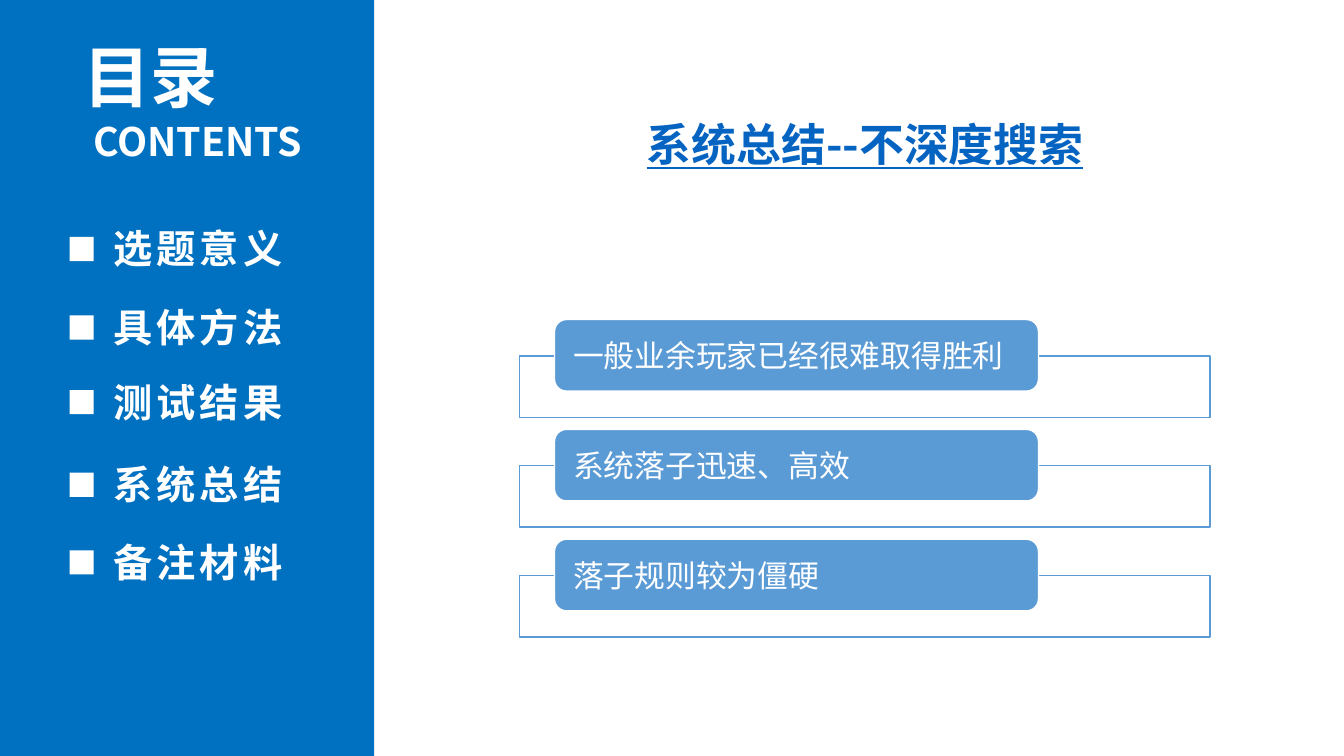
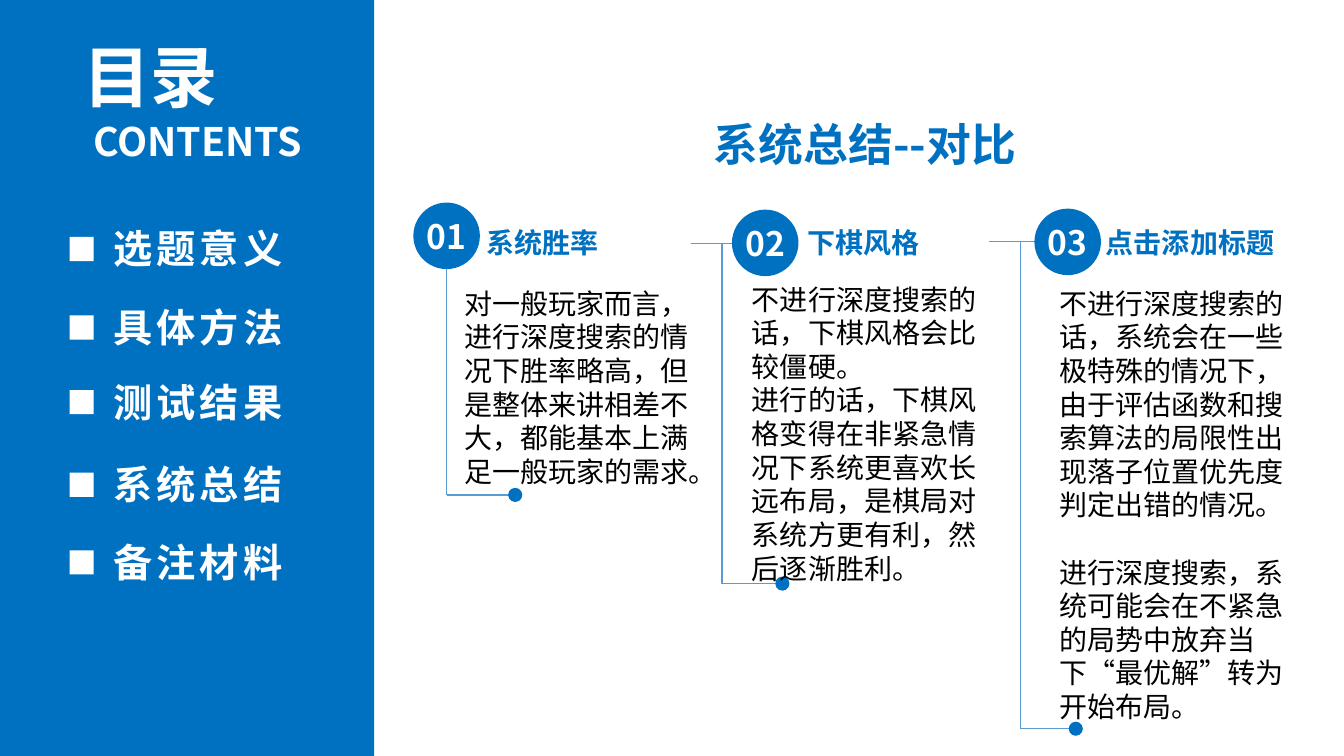
import pptx
import pptx.util
import pptx.dml.color
import pptx.enum.shapes
import pptx.enum.text
import pptx.oxml.ns
from lxml import etree

Inches, Pt = pptx.util.Inches, pptx.util.Pt
SHAPE = pptx.enum.shapes.MSO_SHAPE
ALIGN = pptx.enum.text.PP_ALIGN
qn = pptx.oxml.ns.qn

COLORS = {"blue": "0071C1", "light": "5B9BD5", "link": "0563C1",
          "white": "FFFFFF", "black": "000000"}
FONT = "Noto Sans CJK SC"
MENU = [("选题意义", 2.18), ("具体方法", 2.96), ("测试结果", 3.7),
        ("系统总结", 4.52), ("备注材料", 5.29)]
POINTS = ["一般业余玩家已经很难取得胜利", "系统落子迅速、高效", "落子规则较为僵硬"]


def rgb(name):
    return pptx.dml.color.RGBColor.from_string(COLORS[name])


class Deck:
    """Holds the shared style and the slide being built."""

    def __init__(self):
        self.prs = pptx.Presentation()
        self.prs.slide_width, self.prs.slide_height = Inches(13.33), Inches(7.5)
        self.s = None

    def add_slide(self, title, color="blue", underline=None):
        self.s = self.prs.slides.add_slide(self.prs.slide_layouts[6])
        self.text((6.1, 1.11, 4.96, 0.64), [title], 32, color, bold=True,
                  align=ALIGN.CENTER, underline=underline)
        self.sidebar()

    def style(self, p, size, color, bold=False, font=FONT, spacing=0, underline=None):
        f = p.font
        f.size, f.bold, f.name, f.underline = Pt(size), bold, font, underline
        f.color.rgb = rgb(color)
        props = p._p.pPr.find(qn("a:defRPr"))
        etree.SubElement(props, qn("a:ea")).set("typeface", FONT)
        if spacing:
            props.set("spc", str(spacing * 100))

    def text(self, box, paragraphs, size, color, align=ALIGN.LEFT, gap=0, **style):
        tf = self.s.shapes.add_textbox(*map(Inches, box)).text_frame
        tf.word_wrap = True
        tf.auto_size = pptx.enum.text.MSO_AUTO_SIZE.SHAPE_TO_FIT_TEXT
        for i, line in enumerate(paragraphs):
            p = tf.add_paragraph() if i else tf.paragraphs[0]
            p.text, p.alignment = line, align
            if i and gap:
                p.space_before = Pt(gap)
            self.style(p, size, color, **style)

    def shape(self, kind, box, fill, line=None):
        sp = self.s.shapes.add_shape(kind, *map(Inches, box))
        sp.shadow.inherit = False
        sp.fill.solid()
        sp.fill.fore_color.rgb = rgb(fill)
        if line:
            sp.line.color.rgb, sp.line.width = rgb(line), Pt(1)
        else:
            sp.line.fill.background()
        return sp

    def label(self, sp, text, size, align, inset=0, **style):
        """Put one vertically centred line of white text inside a shape."""
        tf = sp.text_frame
        tf.margin_left = tf.margin_right = Inches(inset)
        tf.margin_top = tf.margin_bottom = 0
        tf.word_wrap = inset > 0
        tf.vertical_anchor = pptx.enum.text.MSO_ANCHOR.MIDDLE
        p = tf.paragraphs[0]
        p.text, p.alignment = text, align
        self.style(p, size, "white", **style)

    def line(self, x1, y1, x2, y2, width=1):
        c = self.s.shapes.add_connector(pptx.enum.shapes.MSO_CONNECTOR.STRAIGHT,
                                        *map(Inches, (x1, y1, x2, y2)))
        c.line.color.rgb, c.line.width = rgb("light"), Pt(width)
        etree.SubElement(c._element.spPr, qn("a:effectLst"))

    def sidebar(self):
        self.shape(SHAPE.RECTANGLE, (0, 0, 3.71, 7.5), "blue")
        heading = dict(color="white", bold=True, align=ALIGN.CENTER)
        self.text((0.48, 0.3, 2.03, 0.91), ["目录"], 48, **heading)
        self.text((0.69, 1.11, 2.54, 0.57), ["CONTENTS"], 28, **heading)
        for item, top in MENU:
            self.text((0.97, top, 1.98, 0.57), [item], 28, spacing=3, **heading)
            self.shape(SHAPE.RECTANGLE, (0.69, top + 0.17, 0.24, 0.24), "white")

    def point(self, text, top):
        """Framed row with a rounded label over its top edge."""
        self.shape(SHAPE.RECTANGLE, (5.15, top + 0.36, 6.85, 0.61), "white", "light")
        sp = self.shape(SHAPE.ROUNDED_RECTANGLE, (5.5, top, 4.8, 0.71), "light", "white")
        self.label(sp, text, 22, ALIGN.LEFT, inset=0.15, font="Calibri")

    def column(self, number, heading, body, circle, heading_x, body_box, stem, foot, dot_x,
               tick_y=None, gap=0):
        """Numbered column whose stem runs down to a dot at its foot."""
        x, y = circle
        if tick_y:
            self.line(stem - 0.31, tick_y, stem + 0.2, tick_y, 0.5)
        self.line(stem, tick_y or y + 0.66, stem, foot)
        self.line(stem, foot, dot_x + 0.07, foot)
        self.shape(SHAPE.OVAL, (dot_x, foot - 0.07, 0.14, 0.14), "blue")
        sp = self.shape(SHAPE.OVAL, (x, y, 0.66, 0.66), "blue")
        self.label(sp, number, 24, ALIGN.CENTER, bold=True)
        self.text((heading_x, 2.19, 2.46, 0.44), [heading], 20, "blue", bold=True)
        self.text(body_box, body, 20, "black", gap=gap)


def main():
    deck = Deck()
    deck.add_slide("系统总结--不深度搜索", "link", underline=True)
    for i, text in enumerate(POINTS):
        deck.point(text, 3.17 + i * 1.09)

    deck.add_slide("系统总结--对比")
    deck.column("01", "系统胜率",
                ["对一般玩家而言，进行深度搜索的情况下胜率略高，但是整体来讲相差不大，"
                 "都能基本上满足一般玩家的需求。"],
                (4.1, 2.01), 4.73, (4.51, 2.79, 2.64, 2.12), 4.43, 4.91, 5.04)
    deck.column("02", "下棋风格",
                ["不进行深度搜索的话，下棋风格会比较僵硬。",
                 "进行的话，下棋风格变得在非紧急情况下系统更喜欢长远布局，"
                 "是棋局对系统方更有利，然后逐渐胜利。"],
                (7.26, 2.08), 7.91, (7.36, 2.75, 2.64, 3.13), 7.16, 5.79, 7.69, tick_y=2.41)
    deck.column("03", "点击添加标题",
                ["不进行深度搜索的话，系统会在一些极特殊的情况下，"
                 "由于评估函数和搜索算法的局限性出现落子位置优先度判定出错的情况。",
                 "进行深度搜索，系统可能会在不紧急的局势中放弃当下“最优解”转为开始布局。"],
                (10.26, 2.07), 10.87, (10.41, 2.79, 2.64, 4.43), 10.12, 7.23, 10.6,
                tick_y=2.39, gap=24)
    deck.prs.save("out.pptx")


if __name__ == "__main__":
    main()
